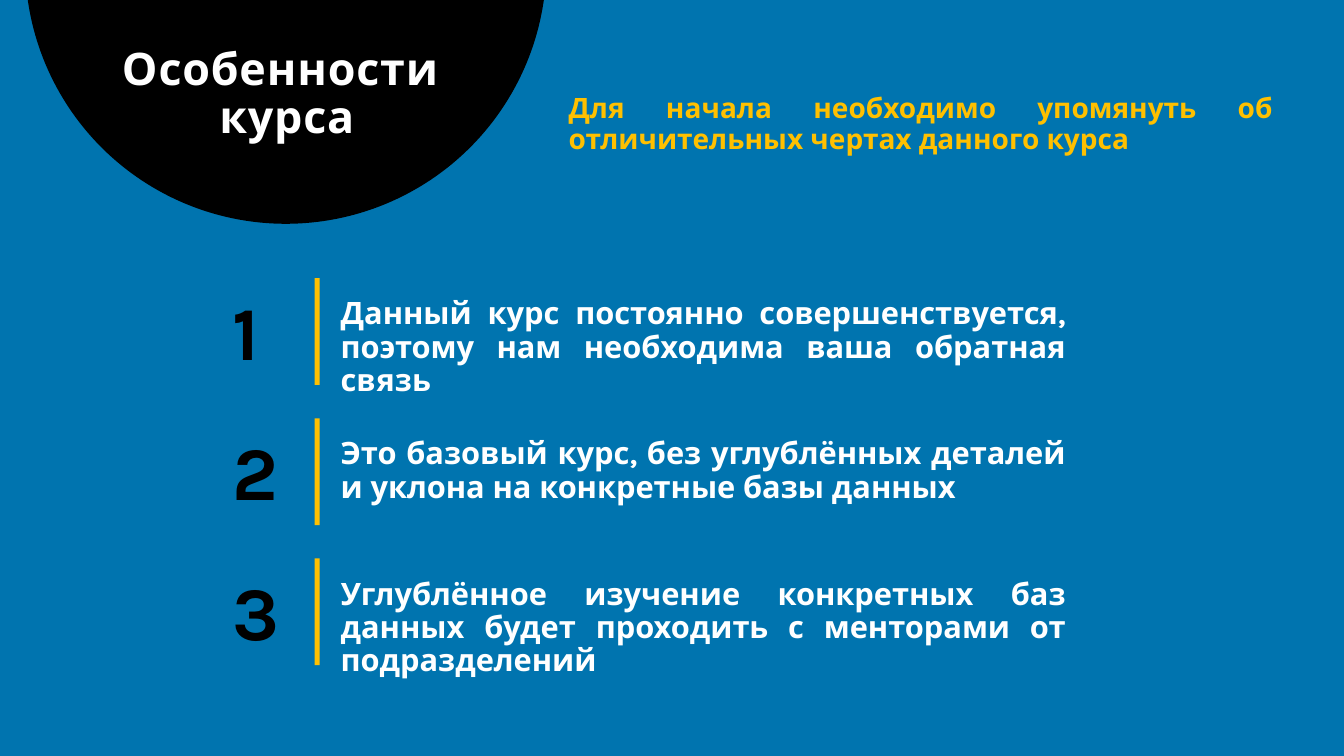
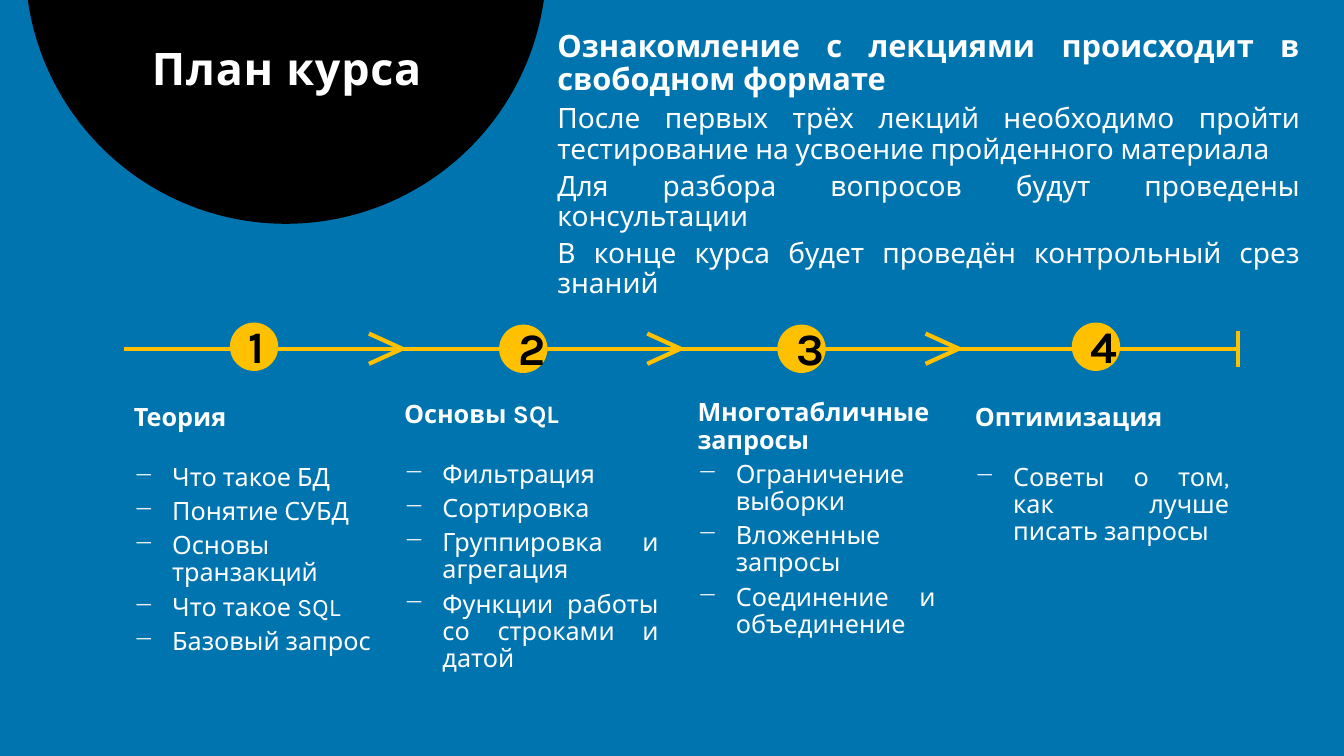
import pptx
import pptx.util
import pptx.dml.color
import pptx.enum.shapes
import pptx.enum.text
import pptx.oxml.ns
import lxml.etree
from dataclasses import dataclass

TITLES = ["Особенности \vкурса", "План курса"]
LEAD = "Для начала необходимо упомянуть об отличительных чертах данного курса"
POINTS = [
    "Данный курс постоянно совершенствуется, поэтому нам необходима ваша обратная связь",
    "Это базовый курс, без углублённых деталей и уклона на конкретные базы данных",
    "Углублённое изучение конкретных баз данных будет проходить с менторами от подразделений",
]
INTRO = [
    "Ознакомление с лекциями происходит в свободном формате",
    "После первых трёх лекций необходимо пройти тестирование на усвоение пройденного материала",
    "Для разбора вопросов будут проведены консультации",
    "В конце курса будет проведён контрольный срез знаний",
]
STAGES = [
    dict(head="Теория", left=1.23, top=3.97, width=2.76, dot=(2.28, 3.2), after=18,
         items=["Что такое БД", "Понятие СУБД", "Основы транзакций",
                "Что такое SQL", "Базовый запрос"]),
    dict(head="Основы SQL", left=3.91, top=3.94, width=2.72, dot=(4.95, 3.22), after=18,
         items=["Фильтрация", "Сортировка", "Группировка и агрегация",
                "Функции работы со строками и датой"]),
    dict(head="Многотабличные запросы", left=6.82, top=3.92, width=2.56,
         dot=(7.71, 3.22), after=0,
         items=["Ограничение выборки", "Вложенные запросы", "Соединение и объединение"]),
    dict(head="Оптимизация", left=9.57, top=3.97, width=2.72, dot=(10.63, 3.2), after=18,
         items=["Советы о том, как лучше писать запросы"]),
]


@dataclass(frozen=True)
class Theme:
    font: str = "Karla"
    back: str = "0074AF"
    black: str = "000000"
    white: str = "FFFFFF"
    gold: str = "FFC000"
    title: int = 32
    lead: int = 20
    point: int = 22
    count: int = 54
    label: int = 32
    stage: int = 18
    line: int = 3


THEME = Theme()
SHAPE = pptx.enum.shapes.MSO_SHAPE
ALIGN = pptx.enum.text.PP_ALIGN
Inches = pptx.util.Inches
Pt = pptx.util.Pt
qn = pptx.oxml.ns.qn


def tint(code):
    return pptx.dml.color.RGBColor.from_string(code)


def box(slide, place, lines, size, color=THEME.white, align=ALIGN.JUSTIFY):
    frame = slide.shapes.add_textbox(*map(Inches, place)).text_frame
    frame.word_wrap = True
    frame.text = "\n".join(lines)
    for par in frame.paragraphs:
        par.alignment = align
        par.line_spacing = 0.9
        style(par, size, color, True)
    return frame


def style(par, size, color, bold):
    for run in par.runs:
        run.font.name = THEME.font
        run.font.size = Pt(size)
        run.font.bold = bold
        run.font.color.rgb = tint(color)


def block(slide, kind, place, color):
    shape = slide.shapes.add_shape(kind, *map(Inches, place))
    shape.shadow.inherit = False
    shape.fill.solid()
    shape.fill.fore_color.rgb = tint(color)
    shape.line.fill.background()


def stroke(item):
    item.line.color.rgb = tint(THEME.gold)
    item.line.width = Pt(THEME.line)


def rule(slide, *ends):
    kind = pptx.enum.shapes.MSO_CONNECTOR.STRAIGHT
    line = slide.shapes.add_connector(kind, *map(Inches, ends))
    stroke(line)
    lxml.etree.SubElement(line._element.spPr, qn("a:effectLst"))


def barb(slide, tip, mid):
    pen = slide.shapes.build_freeform(Inches(tip - 0.33), Inches(mid - 0.15))
    ends = [(tip, mid), (tip - 0.33, mid + 0.15)]
    pen.add_line_segments([(Inches(x), Inches(y)) for x, y in ends], close=False)
    shape = pen.convert_to_shape()
    shape.shadow.inherit = False
    shape.fill.background()
    stroke(shape)


def dash(par):
    props = par._p.get_or_add_pPr()
    props.set("marL", str(Inches(0.38)))
    props.set("indent", str(-Inches(0.38)))
    lxml.etree.SubElement(props, qn("a:buChar")).set("char", "−")


def start(deck, title):
    slide = deck.slides.add_slide(deck.slide_layouts[6])
    slide.background.fill.solid()
    slide.background.fill.fore_color.rgb = tint(THEME.back)
    block(slide, SHAPE.OVAL, (0.25, -2.95, 5.17, 5.17), THEME.black)
    frame = box(slide, (0.61, 0, 4.47, 1.48), [title], THEME.title, align=ALIGN.CENTER)
    frame.margin_top = Inches(0.46)
    frame.margin_left = frame.margin_right = Inches(0.16)
    for run in frame.paragraphs[0].runs:
        run.font._element.set("spc", "60")
    return slide


def traits(deck):
    slide = start(deck, TITLES[0])
    box(slide, (5.54, 0.89, 7.18, 0.71), [LEAD], THEME.lead, THEME.gold)
    for i, text in enumerate(POINTS):
        drop = 1.39 * i
        box(slide, (2.21, 2.88 + drop, 0.37, 0.8), [str(i + 1)],
            THEME.count, THEME.black, ALIGN.CENTER)
        block(slide, SHAPE.RECTANGLE, (3.12, 2.76 + drop, 0.05, 1.06), THEME.gold)
        box(slide, (3.28, 2.91 + drop, 7.39, 0.8), [text], THEME.point)


def plan(deck):
    slide = start(deck, TITLES[1])
    intro = box(slide, (5.43, 0.26, 7.56, 2.43), INTRO, THEME.point)
    for par in intro.paragraphs[1:]:
        par.space_before = Pt(5)
        style(par, THEME.lead, THEME.white, False)

    left, step, mid = 1.23, 2.76, 3.46
    for i in range(len(STAGES)):
        tip = left + step * (i + 1)
        rule(slide, tip - step, mid, tip, mid)
        if i < len(STAGES) - 1:
            barb(slide, tip, mid)
    rule(slide, tip + 0.01, mid - 0.18, tip + 0.01, mid + 0.18)

    for i, stage in enumerate(STAGES):
        x, y = stage["dot"]
        block(slide, SHAPE.OVAL, (x, y, 0.48, 0.48), THEME.gold)
        box(slide, (x + 0.09, y - 0.03, 0.29, 0.54), [str(i + 1)],
            THEME.label, THEME.black, ALIGN.CENTER)
        place = (stage["left"], stage["top"], stage["width"], 2.8)
        frame = box(slide, place, [stage["head"], *stage["items"]], THEME.stage)
        head, *items = frame.paragraphs
        head.space_after = Pt(stage["after"])
        for par in items:
            par.space_before = Pt(5)
            style(par, THEME.stage, THEME.white, False)
            dash(par)


def main():
    deck = pptx.Presentation()
    deck.slide_width = Inches(13.33)
    deck.slide_height = Inches(7.5)
    traits(deck)
    plan(deck)
    deck.save("out.pptx")


if __name__ == "__main__":
    main()
